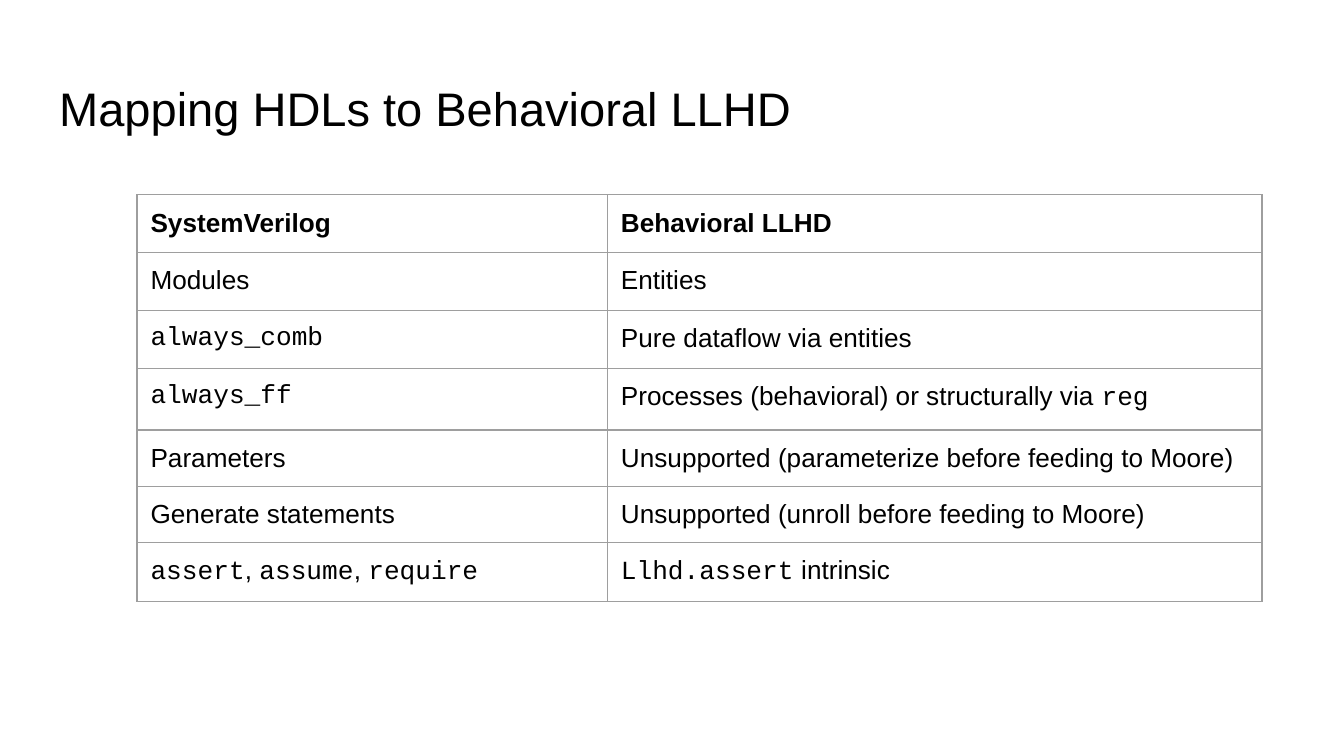
from lxml.etree import SubElement
from pptx import Presentation
from pptx.dml.color import RGBColor
from pptx.enum.text import MSO_ANCHOR as Anchor, PP_ALIGN as Align
from pptx.oxml.ns import qn
from pptx.util import Inches, Pt

TITLE = "Mapping HDLs to Behavioral LLHD"
# Backticks enclose code.
MAPPINGS = [
    ("SystemVerilog", "Behavioral LLHD"),
    ("Modules", "Entities"),
    ("`always_comb`", "Pure dataflow via entities"),
    ("`always_ff`", "Processes (behavioral) or structurally via `reg`"),
    ("Parameters", "Unsupported (parameterize before feeding to Moore)"),
    ("Generate statements", "Unsupported (unroll before feeding to Moore)"),
    ("`assert`, `assume`, `require`", "`Llhd.assert` intrinsic"),
]
SLIDE_WIDTH = 10
SLIDE_HEIGHT = SLIDE_WIDTH * 9 / 16
COLUMN_WIDTHS = [3.5, 4.87]
ROW_HEIGHTS = [0.43, 0.43, 0.43, 0.46, 0.35, 0.41, 0.41]
TEXT_FONT, CODE_FONT = "Arial", "Courier New"
BLACK, GREY = "000000", "9E9E9E"
PADDING = Inches(0.1)


def color(hex_code):
    """Turn a hex string into a colour."""
    return RGBColor.from_string(hex_code)


def style(run, size, font=TEXT_FONT, bold=False):
    """Set the font of a run."""
    run.font.name, run.font.size, run.font.bold = font, Pt(size), bold
    run.font.color.rgb = color(BLACK)


def pad(box):
    """Give a cell or text frame equal margins."""
    box.margin_left = box.margin_right = PADDING
    box.margin_top = box.margin_bottom = PADDING


def add_borders(cell):
    """Draw a thin grey line on each side of a cell."""
    properties = cell._tc.get_or_add_tcPr()
    for position, side in enumerate(("a:lnL", "a:lnR", "a:lnT", "a:lnB")):
        line = SubElement(properties, qn(side), w=str(Pt(0.75)))
        properties.insert(position, line)
        fill = SubElement(line, qn("a:solidFill"))
        SubElement(fill, qn("a:srgbClr"), val=GREY)


def fill_cell(cell, content, bold):
    """Write text with code parts into a cell."""
    pad(cell)
    cell.fill.background()
    add_borders(cell)
    paragraph = cell.text_frame.paragraphs[0]
    for index, part in enumerate(content.split("`")):
        if part:
            run = paragraph.add_run()
            run.text = part
            style(run, 14, CODE_FONT if index % 2 else TEXT_FONT, bold)


prs = Presentation()
prs.slide_width, prs.slide_height = Inches(SLIDE_WIDTH), Inches(SLIDE_HEIGHT)
slide = prs.slides.add_slide(prs.slide_layouts[5])

title = slide.shapes.title
title.left, title.top = Inches(0.34), Inches(0.49)
title.width, title.height = Inches(9.32), Inches(0.63)
heading = title.text_frame
heading.text = TITLE
heading.vertical_anchor = Anchor.TOP
pad(heading)
heading.paragraphs[0].alignment = Align.LEFT
style(heading.paragraphs[0].runs[0], 25.2)

mapping = slide.shapes.add_table(
    len(MAPPINGS), len(COLUMN_WIDTHS), Inches(1.02), Inches(1.45),
    Inches(sum(COLUMN_WIDTHS)), Inches(sum(ROW_HEIGHTS))).table
mapping.first_row = mapping.horz_banding = False
for column, width in zip(mapping.columns, COLUMN_WIDTHS):
    column.width = Inches(width)
for index, (row, height, contents) in enumerate(
        zip(mapping.rows, ROW_HEIGHTS, MAPPINGS)):
    row.height = Inches(height)
    for cell, content in zip(row.cells, contents):
        fill_cell(cell, content, bold=index == 0)

prs.save("out.pptx")
